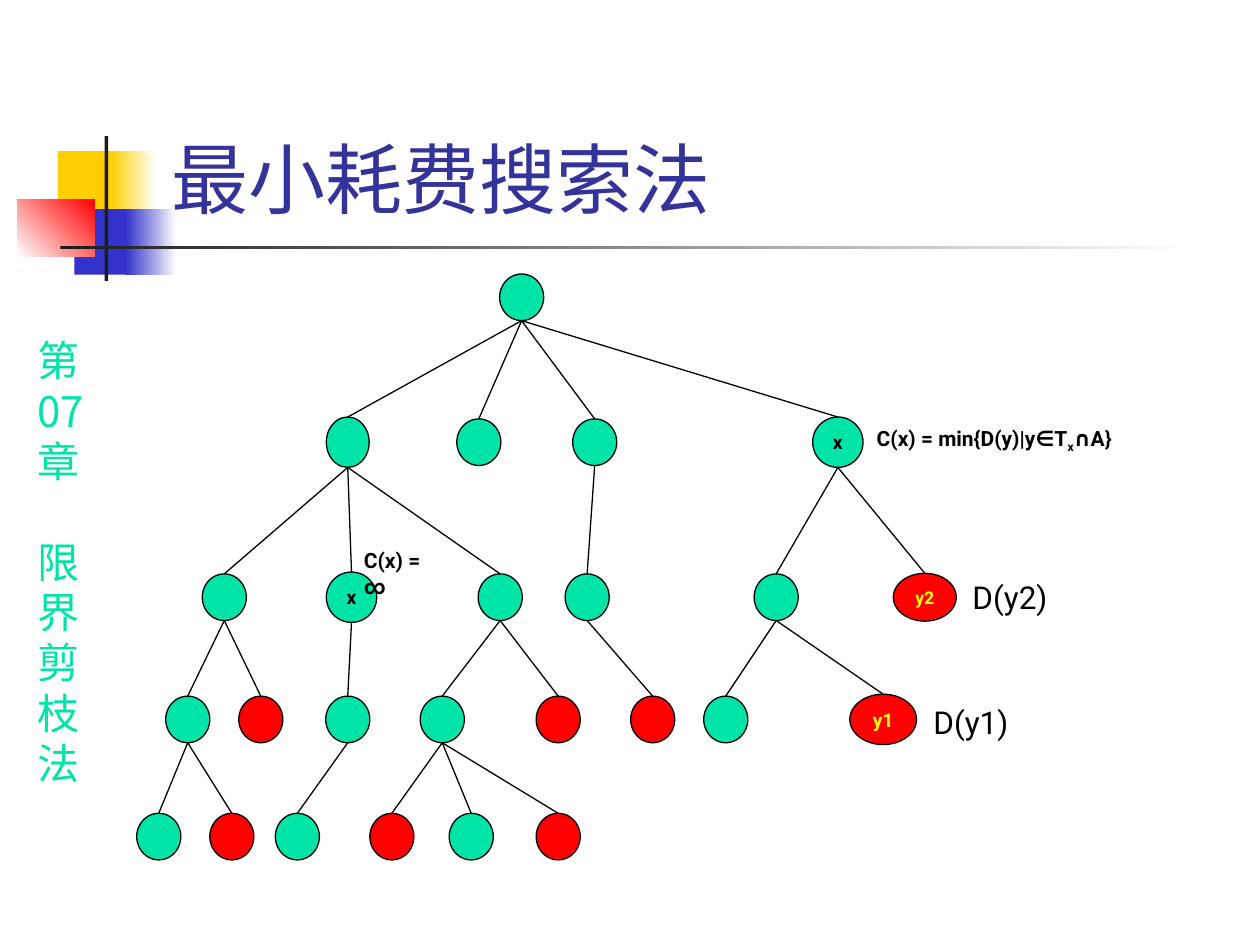
from pptx import Presentation
from pptx.dml.color import RGBColor
from pptx.enum.shapes import MSO_CONNECTOR as Line, MSO_SHAPE as Shape
from pptx.enum.text import MSO_ANCHOR as Anchor, PP_ALIGN as Align
from pptx.oxml.ns import qn
from pptx.util import Inches, Pt
from lxml.etree import SubElement


def color(code):
    return RGBColor.from_string(code)


def style(para, size, code, bold=False, east=None):
    for run in para.runs:
        font = run.font
        font.name, font.size, font.bold = "Roboto", Pt(size), bold
        font.color.rgb = color(code)
        if east:
            SubElement(run._r.get_or_add_rPr(), qn("a:ea")).set("typeface", east)


deck = Presentation()
deck.slide_width, deck.slide_height = Inches(10), Inches(7.5)
slide = deck.slides.add_slide(deck.slide_layouts[6])
shapes = slide.shapes

GREEN, RED, BLACK, WHITE = "00E4A8", "FF0000", "000000", "FFFFFF"
GOLD, BLUE, DARK = "FFCF01", "3333CC", "1C1C1C"
CJK = "Noto Sans CJK JP"

bars = [
    (0.46, 1.2, 0.48, 0.52, [GOLD], 0),
    (0.88, 1.2, 0.36, 0.52, [GOLD, WHITE], 0),
    (0.59, 1.66, 0.46, 0.52, [BLUE], 0),
    (1, 1.66, 0.4, 0.52, [BLUE, WHITE], 0),
    (0.14, 1.58, 0.61, 0.46, [WHITE, RED], 45),
    (0.83, 1.08, 0.03, 1.15, [DARK], 0),
    (0.48, 1.95, 9, 0.03, [DARK, WHITE], 0),
]
for x, y, w, h, tones, angle in bars:
    bar = shapes.add_shape(Shape.RECTANGLE, Inches(x), Inches(y), Inches(w), Inches(h))
    bar.shadow.inherit = False
    bar.line.fill.background()
    if len(tones) == 1:
        bar.fill.solid()
        bar.fill.fore_color.rgb = color(tones[0])
    else:
        bar.fill.gradient()
        bar.fill.gradient_angle = angle
        for stop, tone in zip(bar.fill.gradient_stops, tones):
            stop.color.rgb = color(tone)

side = shapes.add_textbox(Inches(0.2), Inches(2.61), Inches(0.58), Inches(3.7))
side.text_frame.text = "\n".join(["第", "07", "章", "限", "界", "剪", "枝", "法"])
for para in side.text_frame.paragraphs:
    para.line_spacing = Pt(28.75)
    style(para, 24, GREEN, east=CJK)
    for run in para.runs:
        run.font.name = CJK
side.text_frame.paragraphs[3].space_before = Pt(28.75)

title = shapes.add_textbox(Inches(1.26), Inches(0.23), Inches(8.52), Inches(1.6))
title.text_frame.word_wrap = True
title.text_frame.vertical_anchor = Anchor.BOTTOM
title.text_frame.text = "最小耗费搜索法"
style(title.text_frame.paragraphs[0], 44, "333399", east=CJK)

# Each node: centre, index of its parent in the row above, kind
kinds = {
    "open": (0.35, 0.37, GREEN, "", 11, BLACK),
    "dead": (0.35, 0.37, RED, "", 11, BLACK),
    "tall": (0.34, 0.4, GREEN, "", 11, BLACK),
    "x": (0.4, 0.4, GREEN, "x", 11, BLACK),
    "y2": (0.5, 0.38, RED, "y2", 10, "FFFF00"),
    "y1": (0.53, 0.4, RED, "y1", 11, "FFFF00"),
}
rows = [
    (2.36, [(4.14, None, "open")]),
    (3.51, [(2.76, 0, "tall"), (3.8, 0, "open"), (4.72, 0, "open"), (6.65, 0, "x")]),
    (4.74, [(1.78, 0, "open"), (2.79, 0, "x"), (3.97, 0, "open"),
            (4.66, 2, "open"), (6.16, 3, "open"), (7.34, 3, "y2")]),
    (5.71, [(1.49, 0, "open"), (2.07, 0, "dead"), (2.76, 1, "open"),
            (3.51, 2, "open"), (4.43, 2, "dead"), (5.18, 3, "dead"),
            (5.76, 4, "open"), (7.01, 4, "y1")]),
    (6.64, [(1.26, 0, "open"), (1.84, 0, "dead"), (2.36, 2, "open"),
            (3.11, 3, "dead"), (3.74, 3, "open"), (4.43, 3, "dead")]),
]
above = []
for y, nodes in rows:
    level = []
    for x, up, kind in nodes:
        w, h, fill, label, size, ink = kinds[kind]
        node = shapes.add_shape(Shape.OVAL, Inches(x - w / 2), Inches(y - h / 2),
                                Inches(w), Inches(h))
        node.shadow.inherit = False
        node.fill.solid()
        node.fill.fore_color.rgb = color(fill)
        node.line.color.rgb = color(BLACK)
        node.line.width = Pt(0.75)
        if label:
            frame = node.text_frame
            frame.word_wrap = False
            frame.vertical_anchor = Anchor.MIDDLE
            frame.text = label
            frame.paragraphs[0].alignment = Align.CENTER
            style(frame.paragraphs[0], size, ink, True)
        level.append(node)
        if up is not None:
            top = above[up]
            edge = shapes.add_connector(Line.STRAIGHT, top.left + top.width // 2,
                                        top.top + top.height, Inches(x), node.top)
            edge.end_connect(node, 0)
            edge.line.color.rgb = color(BLACK)
            edge.line.width = Pt(0.75)
            SubElement(edge._element.spPr, qn("a:effectLst"))
    above = level

notes = [
    (7.62, 4.54, 0.8, 0.4, ["D(y2)"], 18, False),
    (6.86, 3.33, 2.5, 0.33, ["C(x) = min{D(y)|y∈T", "x", "∩A}"], 12, True),
    (7.31, 5.53, 0.8, 0.4, ["D(y1)"], 18, False),
    (2.79, 4.3, 0.8, 0.3, ["C(x) = ∞"], 12, True),
]
for x, y, w, h, parts, size, bold in notes:
    note = shapes.add_textbox(Inches(x), Inches(y), Inches(w), Inches(h))
    note.text_frame.word_wrap = bold
    para = note.text_frame.paragraphs[0]
    for part in parts:
        para.add_run().text = part
    style(para, size, BLACK, bold)
    if len(parts) > 1:
        para.runs[1].font._element.set("baseline", "-25000")

deck.save("out.pptx")
